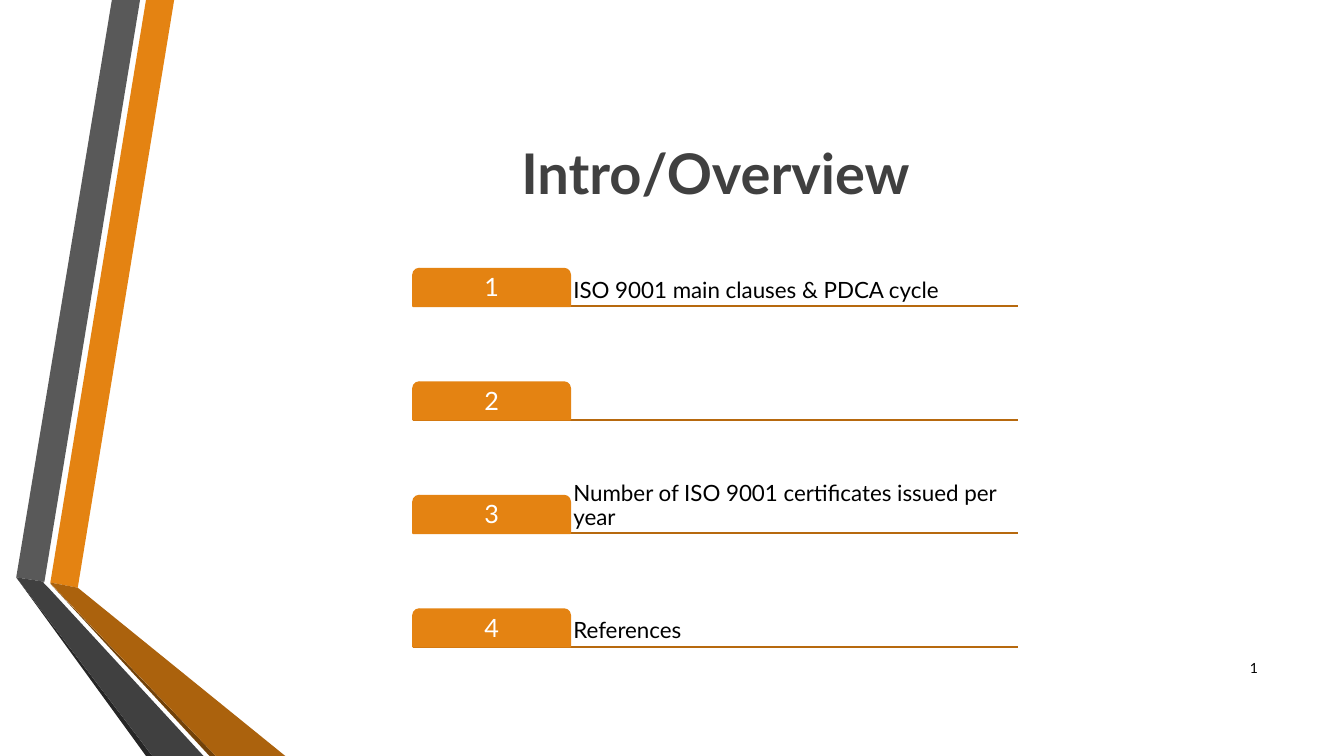
from pptx import Presentation
from pptx.dml.color import RGBColor
from pptx.enum.shapes import MSO_CONNECTOR, MSO_SHAPE
from pptx.enum.text import MSO_ANCHOR, PP_ALIGN
from pptx.util import Cm, Pt
from lxml.etree import SubElement
from pptx.oxml.ns import qn


def color(hex_value):
    return RGBColor.from_string(hex_value)


def write(shape, text, size, hex_value, align, anchor, inset, bold=False, spacing=1.0):
    frame = shape.text_frame
    frame.word_wrap = True
    frame.vertical_anchor = anchor
    frame.margin_left = frame.margin_right = Cm(inset)
    frame.margin_top = frame.margin_bottom = Cm(inset)
    paragraph = frame.paragraphs[0]
    paragraph.alignment = align
    paragraph.line_spacing = spacing
    run = paragraph.add_run()
    run.text = text
    run.font.name = "Lato"
    run.font.size = Pt(size)
    run.font.bold = bold
    run.font.color.rgb = color(hex_value)


deck = Presentation()
deck.slide_width = Cm(33.87)
deck.slide_height = Cm(19.05)
slide = deck.slides.add_slide(deck.slide_layouts[6])
shapes = slide.shapes

bottom = 19.05
ribbons = [
    ("E48312", [(1.27, 14.68), (1.96, 14.81), (4.39, 0), (3.68, 0)]),
    ("595959", [(3.53, 0), (2.82, 0), (0.41, 14.55), (1.12, 14.66)]),
    ("262626", [(0.41, 14.55), (3.68, bottom), (3.84, bottom)]),
    ("724209", [(1.27, 14.71), (5.28, bottom), (5.44, bottom)]),
    ("AB620D", [(1.27, 14.7), (5.44, bottom), (7.19, bottom), (1.96, 14.81), (1.27, 14.68)]),
    ("404040", [(5.13, bottom), (1.22, 14.81), (1.09, 14.68), (1.12, 14.66),
                (0.41, 14.55), (3.84, bottom)]),
]
for ribbon_color, corners in ribbons:
    points = [(Cm(x), Cm(y)) for x, y in corners]
    outline = shapes.build_freeform(*points[0])
    outline.add_line_segments(points[1:], close=True)
    ribbon = outline.convert_to_shape()
    ribbon.shadow.inherit = False
    ribbon.fill.solid()
    ribbon.fill.fore_color.rgb = color(ribbon_color)
    ribbon.line.fill.background()

title = shapes.add_textbox(Cm(4.11), Cm(1.9), Cm(27.84), Cm(4.88))
write(title, "Intro/Overview", 40, "404040", PP_ALIGN.CENTER, MSO_ANCHOR.MIDDLE, 0.25, bold=True)

page_number = shapes.add_textbox(Cm(30.43), Cm(16.31), Cm(1.52), Cm(1.02))
write(page_number, "1", 10, "000000", PP_ALIGN.RIGHT, MSO_ANCHOR.MIDDLE, 0.25)

topics = ["ISO 9001 main clauses & PDCA cycle", "",
          "Number of ISO 9001 certificates issued per year", "References"]
left, first_top, pitch = 10.41, 6.77, 2.86
tab_width, tab_height, topic_width = 3.96, 0.95, 11.28

for index, topic in enumerate(topics):
    top = first_top + index * pitch
    base = Cm(top + tab_height)

    rule = shapes.add_connector(MSO_CONNECTOR.STRAIGHT, Cm(left), base,
                                Cm(left + tab_width + topic_width), base)
    rule.line.color.rgb = color("B7690E")
    rule.line.width = Pt(1.25)
    SubElement(rule._element.spPr, qn("a:effectLst"))

    tab = shapes.add_shape(MSO_SHAPE.ROUND_2_SAME_RECTANGLE, Cm(left), Cm(top),
                           Cm(tab_width), Cm(tab_height))
    tab.adjustments[0] = 0.167
    tab.shadow.inherit = False
    tab.fill.solid()
    tab.fill.fore_color.rgb = color("E48312")
    tab.line.color.rgb = color("E48312")
    tab.line.width = Pt(1.25)
    write(tab, str(index + 1), 18, "FFFFFF", PP_ALIGN.CENTER, MSO_ANCHOR.MIDDLE, 0.1, spacing=0.9)

    if topic:
        label = shapes.add_textbox(Cm(left + tab_width), Cm(top), Cm(topic_width), Cm(tab_height))
        write(label, topic, 16, "000000", PP_ALIGN.LEFT, MSO_ANCHOR.BOTTOM, 0.08, spacing=0.9)

deck.save("out.pptx")
